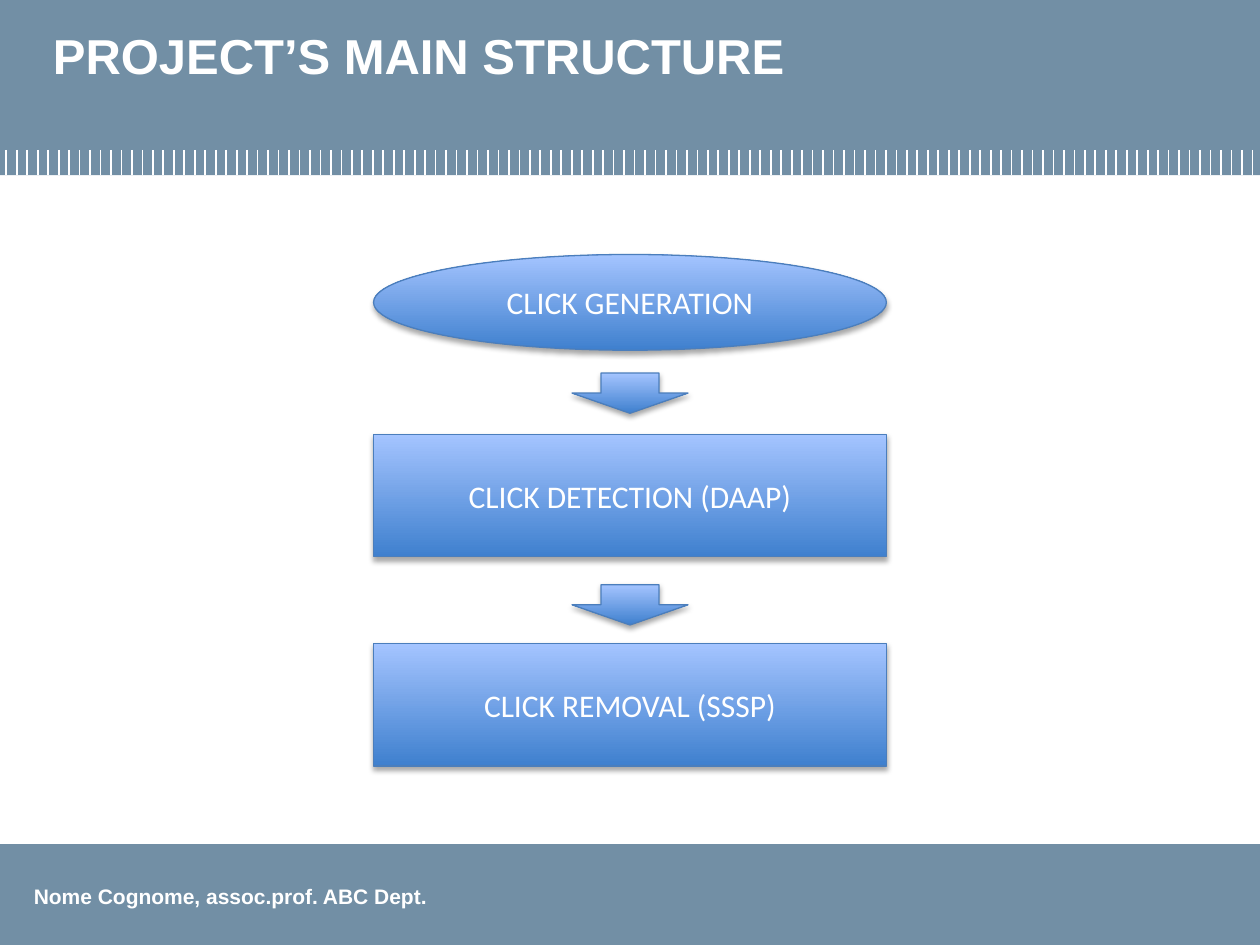
from dataclasses import dataclass

from lxml.etree import SubElement
from pptx import Presentation
from pptx.dml.color import RGBColor
from pptx.enum.shapes import MSO_CONNECTOR as Connector, MSO_SHAPE as Shape
from pptx.enum.text import MSO_ANCHOR as Anchor, MSO_AUTO_SIZE as AutoSize, PP_ALIGN as Align
from pptx.oxml.ns import qn
from pptx.util import Inches, Pt


@dataclass(frozen=True)
class Theme:
    """Colours, fonts and type sizes of the slide."""
    band: RGBColor = RGBColor(0x72, 0x8F, 0xA5)
    white: RGBColor = RGBColor(0xFF, 0xFF, 0xFF)
    dark: RGBColor = RGBColor(0x3F, 0x80, 0xCE)
    light: RGBColor = RGBColor(0xA4, 0xC4, 0xFF)
    edge: RGBColor = RGBColor(0x4B, 0x7E, 0xBC)
    heading_font: str = "Arial"
    step_font: str = "Calibri"
    title_size: int = 28
    step_size: int = 18
    footer_size: int = 12


THEME = Theme()
WIDTH, HEIGHT = 10, 7.5
CENTER = WIDTH / 2
HEADER_HEIGHT, FOOTER_HEIGHT = 1.39, 0.8
TICK_COUNT, TICK_FIRST, TICK_LAST, TICK_TOP = 120, 0.05, 9.94, 1.19
STEP_WIDTH = 4.07
ARROW_WIDTH, ARROW_HEIGHT = 0.92, 0.32
STEPS = [
    (Shape.OVAL, 2.02, 0.76, "CLICK GENERATION"),
    (Shape.RECTANGLE, 3.45, 0.97, "CLICK DETECTION (DAAP)"),
    (Shape.RECTANGLE, 5.11, 0.97, "CLICK REMOVAL (SSSP)"),
]
ARROW_TOPS = [2.96, 4.64]


def write(box, text, font, size, bold=False, align=Align.LEFT, anchor=Anchor.TOP, wrap=True):
    """Put one formatted line of text in a shape."""
    frame = box.text_frame
    frame.word_wrap = wrap
    frame.vertical_anchor = anchor
    para = frame.paragraphs[0]
    para.alignment = align
    span = para.add_run()
    span.text = text
    formats = {"name": font, "size": Pt(size), "bold": bold}
    for name, value in formats.items():
        setattr(span.font, name, value)
    span.font.color.rgb = THEME.white


def add_band(page, top, height):
    """Add a plain band across the whole page."""
    band = page.shapes.add_shape(Shape.RECTANGLE, 0, Inches(top), Inches(WIDTH), Inches(height))
    band.shadow.inherit = False
    band.fill.solid()
    band.fill.fore_color.rgb = THEME.band
    band.line.fill.background()


def add_ticks(page):
    """Add the evenly spaced white ticks along the header's lower edge."""
    group = page.shapes.add_group_shape()
    gap = (TICK_LAST - TICK_FIRST) / (TICK_COUNT - 1)
    for index in range(TICK_COUNT):
        x = Inches(TICK_FIRST + index * gap)
        tick = group.shapes.add_connector(
            Connector.STRAIGHT, x, Inches(TICK_TOP), x, Inches(HEADER_HEIGHT))
        tick.line.color.rgb = THEME.white
        tick.line.width = Pt(1)
        SubElement(tick.element.spPr, qn("a:effectLst"))


def add_shadow(shape):
    """Give a shape a soft shadow below it."""
    shape.shadow.inherit = False
    effects = shape.element.spPr.find(qn("a:effectLst"))
    shadow = SubElement(effects, qn("a:outerShdw"), blurRad=str(Pt(3.1)), dist=str(Pt(1.8)),
                        dir="5400000", rotWithShape="0")
    color = SubElement(shadow, qn("a:srgbClr"), val="000000")
    SubElement(color, qn("a:alpha"), val="35000")


def add_glossy(page, kind, top, width, height):
    """Add a centred shape with gradient, outline and shadow."""
    shape = page.shapes.add_shape(
        kind, Inches(CENTER - width / 2), Inches(top), Inches(width), Inches(height))
    shape.fill.gradient()
    shape.fill.gradient_angle = 90
    for stop, color in zip(shape.fill.gradient_stops, (THEME.dark, THEME.light)):
        stop.color.rgb = color
    shape.line.color.rgb = THEME.edge
    shape.line.width = Pt(0.75)
    add_shadow(shape)
    return shape


def add_footer(page, text):
    """Add the author line in the lower band."""
    box = page.shapes.add_textbox(Inches(0.17), Inches(6.96), Inches(3.36), Inches(0.3))
    write(box, text, THEME.heading_font, THEME.footer_size, bold=True, wrap=False)
    box.text_frame.auto_size = AutoSize.SHAPE_TO_FIT_TEXT


def place_title(page, text):
    """Fill the title placeholder and bring it in front of the header."""
    title = page.shapes.title
    places = {"left": 0.32, "top": 0.15, "width": 9.38, "height": 0.92}
    for name, value in places.items():
        setattr(title, name, Inches(value))
    write(title, text, THEME.heading_font, THEME.title_size, bold=True)
    title.element.getparent().append(title.element)


def main():
    """Build the slide and save it."""
    deck = Presentation()
    deck.slide_width, deck.slide_height = Inches(WIDTH), Inches(HEIGHT)
    page = deck.slides.add_slide(deck.slide_layouts.get_by_name("Title Only"))
    add_band(page, 0, HEADER_HEIGHT)
    add_band(page, HEIGHT - FOOTER_HEIGHT, FOOTER_HEIGHT)
    add_footer(page, "Nome Cognome, assoc.prof. ABC Dept.")
    add_ticks(page)
    place_title(page, "PROJECT’S MAIN STRUCTURE")
    for kind, top, height, text in STEPS:
        step = add_glossy(page, kind, top, STEP_WIDTH, height)
        write(step, text, THEME.step_font, THEME.step_size,
              align=Align.CENTER, anchor=Anchor.MIDDLE)
    for top in ARROW_TOPS:
        add_glossy(page, Shape.DOWN_ARROW, top, ARROW_WIDTH, ARROW_HEIGHT)
    deck.save("out.pptx")


if __name__ == "__main__":
    main()
